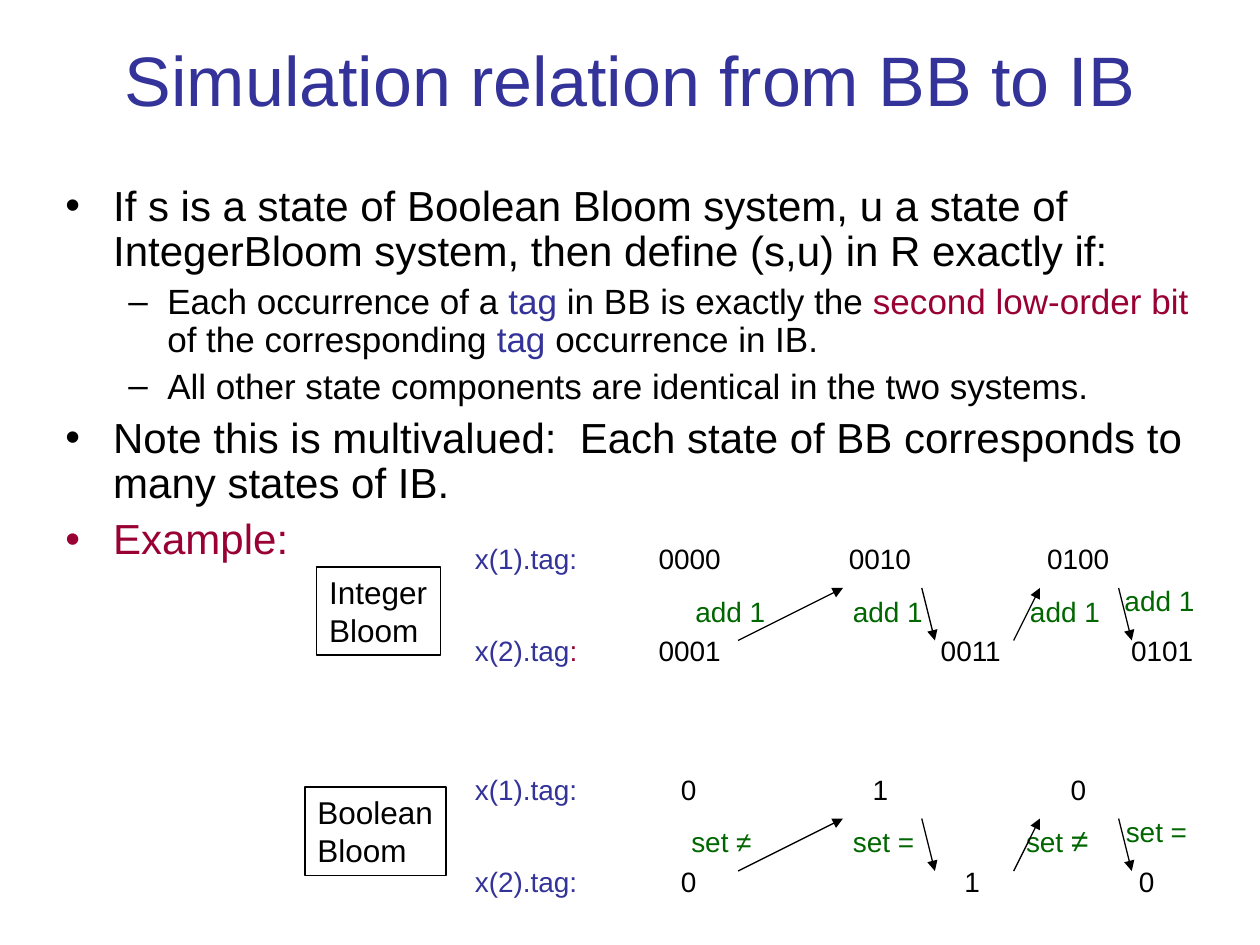
"""Build the slide on the simulation relation between two Bloom systems."""
from dataclasses import dataclass
from typing import NamedTuple

from lxml.etree import SubElement
from pptx import Presentation
from pptx.dml.color import RGBColor
from pptx.enum.shapes import MSO_CONNECTOR as Connector, MSO_SHAPE as Shape
from pptx.enum.text import MSO_ANCHOR as Anchor, PP_ALIGN as Align
from pptx.oxml.ns import qn
from pptx.util import Inches, Pt


@dataclass(frozen=True)
class Theme:
    font: str = "Arial"
    ink: str = "000000"
    blue: str = "333399"
    red: str = "990033"
    green: str = "006600"
    title: int = 40
    body: int = 24
    detail: int = 20
    name: int = 18
    label: int = 16
    line: float = 0.75


class Span(NamedTuple):
    text: str
    color: str = Theme.ink
    size: float = Theme.label


class Area(NamedTuple):
    left: float
    top: float
    width: float
    height: float


class Level(NamedTuple):
    bullet: str
    size: int
    margin: float
    hanging: float
    before: int


class Bullet(NamedTuple):
    level: Level
    spans: list[tuple[str, str]]


class Label(NamedTuple):
    column: float
    row: float
    width: float
    spans: list[Span]


class Panel(NamedTuple):
    top: float
    name: str
    name_column: float
    name_row: float
    name_width: float
    labels: list[Label]


THEME = Theme()
WIDTH, HEIGHT = 10, 7.5
UNIT = WIDTH / 96
LEFT = 3.67
LABEL_HEIGHT = 0.37
UPPER, LOWER = 0, 7
ARROW_TOP, ARROW_BOTTOM = 4, 8
ARROWS = [(21, ARROW_BOTTOM, 29, ARROW_TOP), (35, ARROW_TOP, 36, ARROW_BOTTOM),
          (42, ARROW_BOTTOM, 44, ARROW_TOP), (50, ARROW_TOP, 51, ARROW_BOTTOM)]

MAIN = Level("•", THEME.body, 0.38, 0.38, 6)
SUB = Level("–", THEME.detail, 0.81, 0.31, 5)
BULLETS = [
    Bullet(MAIN, [("If s is a state of Boolean Bloom system, u a state of IntegerBloom system, "
                   "then define (s,u) in R exactly if:", THEME.ink)]),
    Bullet(SUB, [("Each occurrence of a ", THEME.ink), ("tag ", THEME.blue),
                 ("in BB is exactly the ", THEME.ink), ("second low-order bit", THEME.red),
                 (" of the corresponding ", THEME.ink), ("tag", THEME.blue),
                 (" occurrence in IB.", THEME.ink)]),
    Bullet(SUB, [("All other state components are identical in the two systems.", THEME.ink)]),
    Bullet(MAIN, [("Note this is multivalued:  Each state of BB corresponds to many states of IB.",
                   THEME.ink)]),
    Bullet(MAIN, [("Example:", THEME.red)]),
]


def tag(row: float, text: str, colon: str = THEME.blue) -> Label:
    """Name the variable of a row."""
    return Label(0, row, 1.01, [Span(text, THEME.blue), Span(":", colon)])


def value(column: float, row: float, text: str) -> Label:
    """Show one tag value, as wide as its digits."""
    return Label(column, row, 0.2 + 0.124 * len(text), [Span(text)])


def step(column: float, row: float, text: str, width: float) -> Label:
    """Name the operation beside an arrow."""
    return Label(column, row, width, [Span(text, THEME.green)])


PANELS = [
    Panel(4.25, "Integer", -11.1, 2.4, 0.98, [
        tag(UPPER, "x(1).tag"), tag(LOWER, "x(2).tag", THEME.red),
        value(14, UPPER, "0000"), value(28.5, UPPER, "0010"), value(43.6, UPPER, "0100"),
        value(14, LOWER, "0001"), value(35.5, LOWER, "0011"), value(50, LOWER, "0101"),
        step(16.8, 4, "add 1", 0.76), step(28.8, 4, "add 1", 0.76),
        step(42.3, 4, "add 1", 0.76), step(49.5, 3.2, "add 1", 0.76)]),
    Panel(6.08, "Boolean", -12, 1.6, 1.12, [
        tag(UPPER, "x(1).tag"), tag(LOWER, "x(2).tag"),
        value(15.7, UPPER, "0"), value(30.3, UPPER, "1"), value(45.4, UPPER, "0"),
        value(15.7, LOWER, "0"), value(37.3, LOWER, "1"), value(50.6, LOWER, "0"),
        step(16.5, 4, "set ≠", 0.73), step(28.8, 4, "set =", 0.69),
        Label(42, 3.75, 0.76, [Span("set ", THEME.green), Span("≠", THEME.green, THEME.name)]),
        step(49.6, 3.2, "set =", 0.69)]),
]


def add_spans(paragraph, spans: list[Span]) -> None:
    """Add styled runs to a paragraph."""
    for span in spans:
        run = paragraph.add_run()
        run.text = span.text
        run.font.name = THEME.font
        run.font.size = Pt(span.size)
        run.font.color.rgb = RGBColor.from_string(span.color)


def add_box(page, area: Area, wrap: bool = True):
    """Add an empty text box and return its text frame."""
    frame = page.shapes.add_textbox(*map(Inches, area)).text_frame
    frame.word_wrap = wrap
    return frame


def add_title(page, text: str) -> None:
    """Add the centred heading."""
    frame = add_box(page, Area(0.05 * WIDTH, 0, 0.9 * WIDTH, HEIGHT / 6))
    frame.vertical_anchor = Anchor.MIDDLE
    frame.paragraphs[0].alignment = Align.CENTER
    add_spans(frame.paragraphs[0], [Span(text, THEME.blue, THEME.title)])


def add_bullets(page, bullets: list[Bullet]) -> None:
    """Add the bulleted body text."""
    frame = add_box(page, Area(0.42, 1.42, 9.33, 3.58))
    for index, (level, spans) in enumerate(bullets):
        paragraph = frame.add_paragraph() if index else frame.paragraphs[0]
        paragraph.line_spacing = 0.9
        paragraph.space_before = Pt(level.before)
        paragraph.level = int(level is SUB)
        properties = paragraph._p.get_or_add_pPr()
        properties.set("marL", str(Inches(level.margin)))
        properties.set("indent", str(-Inches(level.hanging)))
        color = SubElement(properties, qn("a:buClr"))
        SubElement(color, qn("a:srgbClr"), val=spans[0][1])
        SubElement(properties, qn("a:buFont"), typeface=THEME.font)
        SubElement(properties, qn("a:buChar"), char=level.bullet)
        add_spans(paragraph, [Span(text, shade, level.size) for text, shade in spans])


def add_arrow(page, top: float, ends: tuple[int, int, int, int]) -> None:
    """Draw an arrow between two grid points."""
    points = [Inches(start + UNIT * cell) for start, cell in zip((LEFT, top) * 2, ends)]
    arrow = page.shapes.add_connector(Connector.STRAIGHT, *points)
    arrow.line.width = Pt(THEME.line)
    arrow.line.color.rgb = RGBColor.from_string(THEME.ink)
    SubElement(arrow.line._get_or_add_ln(), qn("a:tailEnd"), type="triangle")
    SubElement(arrow._element.spPr, qn("a:effectLst"))


def add_panel(page, panel: Panel) -> None:
    """Draw one system's name, tags, values and steps."""
    for column, row, width, spans in panel.labels:
        area = Area(LEFT + UNIT * column, panel.top + UNIT * row, width, LABEL_HEIGHT)
        add_spans(add_box(page, area, wrap=False).paragraphs[0], spans)
    for ends in ARROWS:
        add_arrow(page, panel.top, ends)
    area = Area(LEFT + UNIT * panel.name_column, panel.top + UNIT * panel.name_row,
                panel.name_width, 0.7)
    box = page.shapes.add_shape(Shape.RECTANGLE, *map(Inches, area))
    box.shadow.inherit = False
    box.fill.background()
    box.line.width = Pt(THEME.line)
    box.line.color.rgb = RGBColor.from_string(THEME.ink)
    frame = box.text_frame
    frame.word_wrap = False
    frame.vertical_anchor = Anchor.TOP
    for paragraph, text in zip((frame.paragraphs[0], frame.add_paragraph()), (panel.name, "Bloom")):
        paragraph.alignment = Align.LEFT
        add_spans(paragraph, [Span(text, THEME.ink, THEME.name)])


def main() -> None:
    """Build and save the deck."""
    deck = Presentation()
    deck.slide_width, deck.slide_height = Inches(WIDTH), Inches(HEIGHT)
    page = deck.slides.add_slide(deck.slide_layouts[6])
    add_title(page, "Simulation relation from BB to IB")
    add_bullets(page, BULLETS)
    for panel in PANELS:
        add_panel(page, panel)
    deck.save("out.pptx")


if __name__ == "__main__":
    main()
